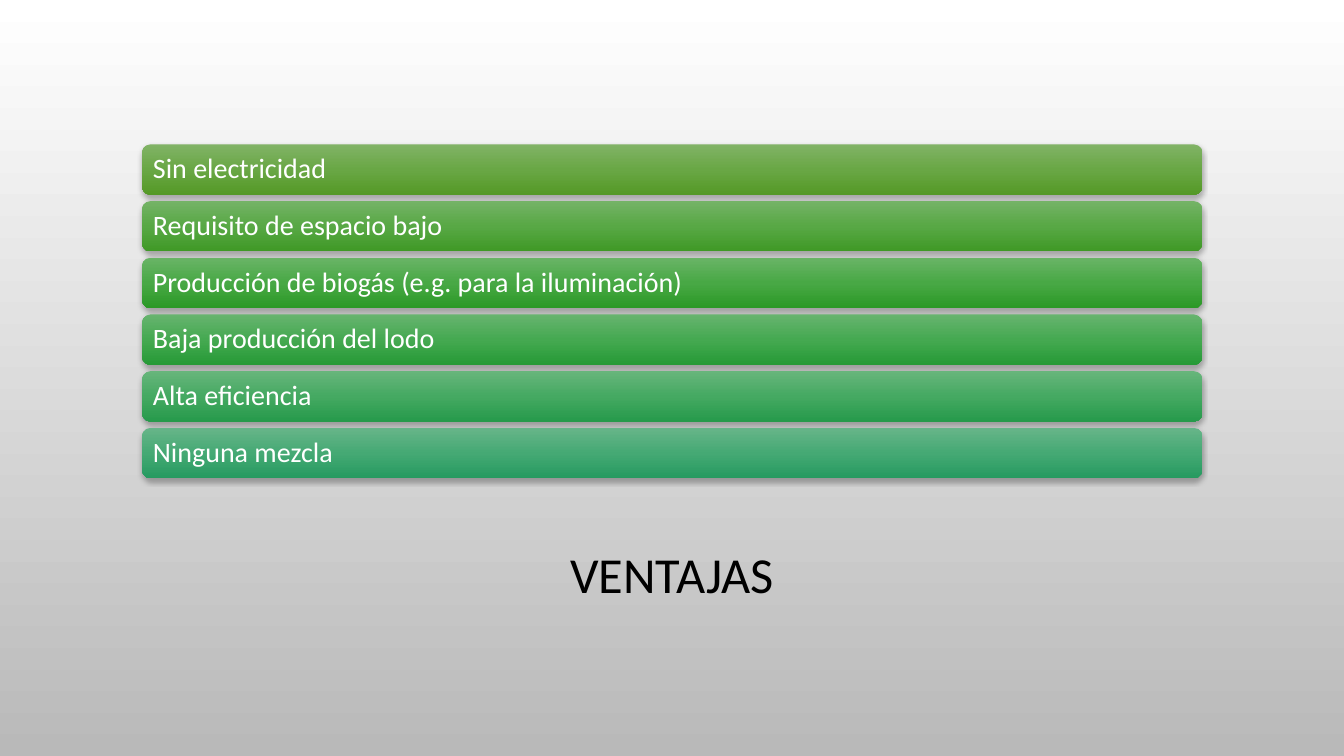
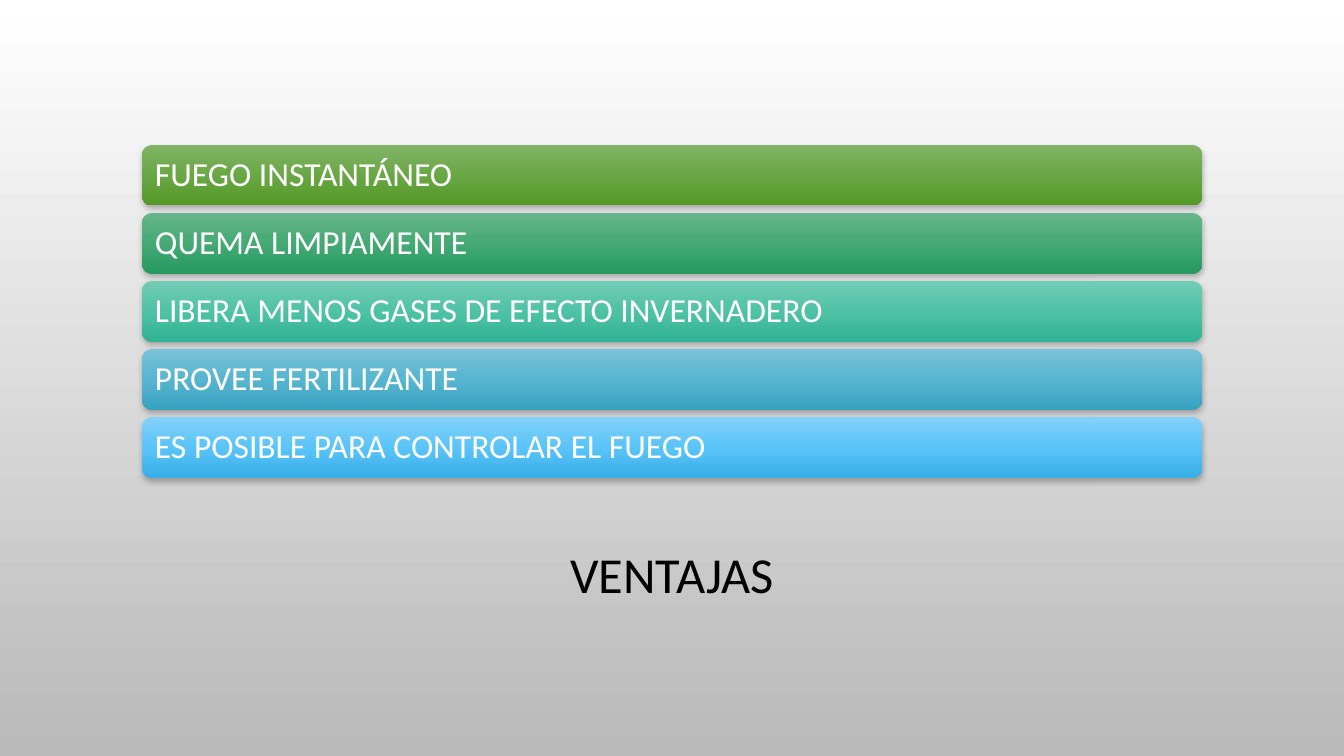
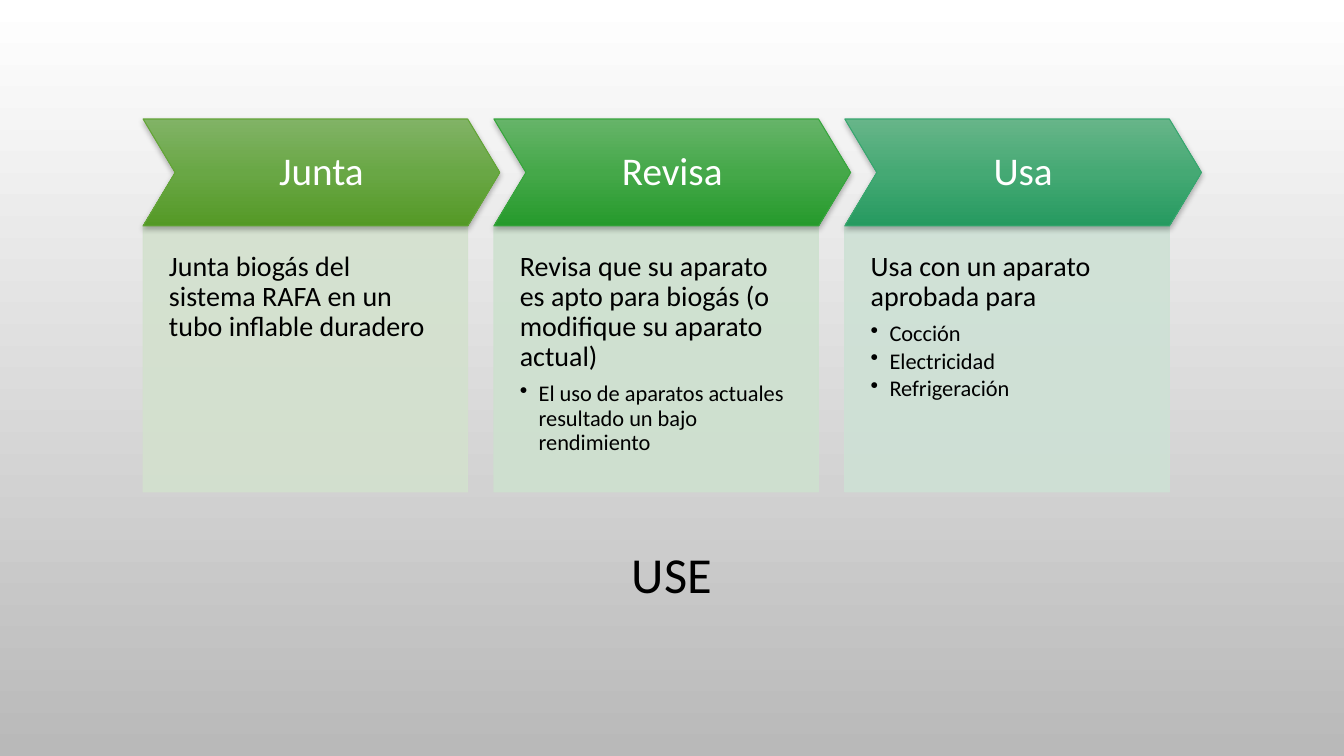
from copy import deepcopy

from lxml import etree
from pptx import Presentation
from pptx.dml.color import RGBColor
from pptx.enum.shapes import MSO_SHAPE
from pptx.enum.text import MSO_ANCHOR, PP_ALIGN
from pptx.oxml.ns import qn
from pptx.util import Pt

ROUNDED, CHEVRON, RECT = MSO_SHAPE.ROUNDED_RECTANGLE, MSO_SHAPE.CHEVRON, MSO_SHAPE.RECTANGLE
TOP, MIDDLE = MSO_ANCHOR.TOP, MSO_ANCHOR.MIDDLE
LEFT, CENTER = PP_ALIGN.LEFT, PP_ALIGN.CENTER

FONT = "Calibri"
COLORS = {
    "text": "000000", "light": "FFFFFF", "shadow": "000000",
    "page_top": "FFFFFF", "page_bottom": "B9B9B9",
    "olive_line": "63A537", "green_line": "37A63D", "jade_line": "37A76F",
    "olive_panel": "D3E1CE", "green_panel": "CEE1CF", "jade_panel": "CEE1D5",
}
# Top, middle and bottom colour of each gradient
GRADIENTS = {
    "olive": ("81B366", "69A745", "549926"),
    "grass": ("74B366", "58A845", "3F9926"),
    "leaf": ("69B466", "48A845", "2B9926"),
    "green": ("66B469", "45A849", "269A2C"),
    "fern": ("67B46F", "45A951", "269A36"),
    "emerald": ("67B57B", "45A962", "269A4B"),
    "jade": ("67B589", "45A974", "269A60"),
    "teal": ("71CCB4", "4FC2A6", "30B293"),
    "lagoon": ("79C2D8", "57B5D0", "38A2BF"),
    "sky": ("83D1FA", "5AC4F9", "38AEE6"),
}

TITLE_BOX = (72, 361.5, 816, 102)
BARS_BOX = (101.5, 84.8, 757.3, 275.2)
STEPS_BOX = (102.2, 85, 756, 266.4)

ADVANTAGES = [
    ("Sin electricidad", "olive"),
    ("Requisito de espacio bajo", "grass"),
    ("Producción de biogás (e.g. para la iluminación)", "leaf"),
    ("Baja producción del lodo", "fern"),
    ("Alta eficiencia", "emerald"),
    ("Ninguna mezcla", "jade"),
]
FIRE_ADVANTAGES = [
    ("FUEGO INSTANTÁNEO", "olive"),
    ("QUEMA LIMPIAMENTE", "jade"),
    ("LIBERA MENOS GASES DE EFECTO INVERNADERO", "teal"),
    ("PROVEE FERTILIZANTE", "lagoon"),
    ("ES POSIBLE PARA CONTROLAR EL FUEGO", "sky"),
]
# Heading, colour, lead text, bullets
STEPS = [
    ("Junta", "olive", "Junta biogás del sistema RAFA en un tubo inflable duradero", []),
    ("Revisa", "green",
     "Revisa que su aparato es apto para biogás (o modifique su aparato actual)",
     ["El uso de aparatos actuales resultado un bajo rendimiento"]),
    ("Usa", "jade", "Usa con un aparato aprobada para",
     ["Cocción", "Electricidad", "Refrigeración"]),
]


def rgb(name):
    return RGBColor.from_string(COLORS[name])


def paint_gradient(fill, hexes):
    """Colour the evenly spaced stops of a vertical gradient."""
    fill.gradient_angle = 270
    for i, (stop, color) in enumerate(zip(fill.gradient_stops, hexes)):
        stop.position = i / (len(hexes) - 1)
        stop.color.rgb = RGBColor.from_string(color)


def add_plain(s, kind, box):
    sp = s.shapes.add_shape(kind, *map(Pt, box))
    sp.shadow.inherit = False
    return sp


def add_glossy(s, kind, box, gradient):
    """Shape with a three-stop gradient and a soft shadow below."""
    sp = add_plain(s, kind, box)
    sp.fill.gradient()
    stops = sp.element.spPr.find(".//" + qn("a:gsLst"))
    stops.append(deepcopy(stops[0]))
    paint_gradient(sp.fill, GRADIENTS[gradient])
    effects = sp.element.spPr.find(qn("a:effectLst"))
    shadow = etree.SubElement(effects, qn("a:outerShdw"), blurRad=str(Pt(4)),
                              dist=str(Pt(2)), dir="5400000", rotWithShape="0")
    color = etree.SubElement(shadow, qn("a:srgbClr"), val=COLORS["shadow"])
    etree.SubElement(color, qn("a:alpha"), val="28000")
    return sp


def set_frame(sp, anchor, insets):
    tf = sp.text_frame
    tf.word_wrap = True
    tf.vertical_anchor = anchor
    tf.margin_left, tf.margin_top, tf.margin_right, tf.margin_bottom = map(Pt, insets)
    return tf


def write(p, text, size, color, align=LEFT, after=0, bullet=False):
    if bullet:
        pPr = p._p.get_or_add_pPr()
        pPr.set("marL", str(Pt(13.5)))
        pPr.set("indent", str(-Pt(13.5)))
        etree.SubElement(pPr, qn("a:buChar"), char="•")
        p.level = 1
    p.alignment = align
    p.line_spacing = 0.9
    p.space_after = Pt(after)
    r = p.add_run()
    r.text = text
    r.font.name = FONT
    r.font.size = Pt(size)
    r.font.color.rgb = rgb(color)


def add_title(s, text, box):
    tf = set_frame(s.shapes.add_textbox(*map(Pt, box)), MIDDLE, (7.2, 3.6, 7.2, 3.6))
    write(tf.paragraphs[0], text, 36, "text", CENTER)


def add_bars(s, bars, box, height, size, inset):
    """Stack of bars, centred in the box, with gaps of an eighth of a bar."""
    x, y, w, h = box
    pitch = height * 1.125
    y += (h - pitch * len(bars) + height / 8) / 2
    for i, (text, gradient) in enumerate(bars):
        sp = add_glossy(s, ROUNDED, (x, y + i * pitch, w, height), gradient)
        sp.line.fill.background()
        tf = set_frame(sp, MIDDLE, [inset] * 4)
        write(tf.paragraphs[0], text, size, "light")


def add_step(s, step, box, head):
    """Chevron heading with its panel, as wide as the chevron without its tip."""
    heading, color, lead, bullets = step
    x, y, w, h = box

    # Panel
    panel = add_plain(s, RECT, (x, y + head, w - 0.3 * head, h - head))
    panel.fill.solid()
    panel.fill.fore_color.rgb = rgb(color + "_panel")
    panel.line.color.rgb = rgb(color + "_panel")
    panel.line.width = Pt(0.75)
    for clr in panel.element.spPr.iter(qn("a:srgbClr")):
        etree.SubElement(clr, qn("a:alpha"), val="90000")
    tf = set_frame(panel, TOP, (18.5, 18.5, 18.5, 36.7))
    write(tf.paragraphs[0], lead, 20, "text", after=7)
    for text in bullets:
        write(tf.add_paragraph(), text, 16, "text", after=2.4, bullet=True)

    # Heading
    sp = add_glossy(s, CHEVRON, (x, y, w, head), color)
    sp.adjustments[0] = 0.3
    sp.line.color.rgb = rgb(color + "_line")
    sp.line.width = Pt(0.75)
    tf = set_frame(sp, MIDDLE, [9.4] * 4)
    write(tf.paragraphs[0], heading, 28, "light", CENTER)


def add_steps(s, steps, box):
    x, y, w, h = box
    width = 254.8
    pitch = (w - width) / (len(steps) - 1)
    for i, step in enumerate(steps):
        add_step(s, step, (x + i * pitch, y, width, h), 76.4)


def new_slide(prs, title):
    s = prs.slides.add_slide(prs.slide_layouts[6])
    add_title(s, title, TITLE_BOX)
    return s


def main():
    prs = Presentation()
    prs.slide_width, prs.slide_height = Pt(960), Pt(540)

    # Shared background
    fill = prs.slide_master.background.fill
    fill.gradient()
    paint_gradient(fill, (COLORS["page_top"], COLORS["page_bottom"]))

    add_bars(new_slide(prs, "VENTAJAS"), ADVANTAGES, BARS_BOX, 36, 20, 6)
    add_bars(new_slide(prs, "VENTAJAS"), FIRE_ADVANTAGES, BARS_BOX, 43.2, 24, 7.2)
    add_steps(new_slide(prs, "USE"), STEPS, STEPS_BOX)
    prs.save("out.pptx")


if __name__ == "__main__":
    main()
